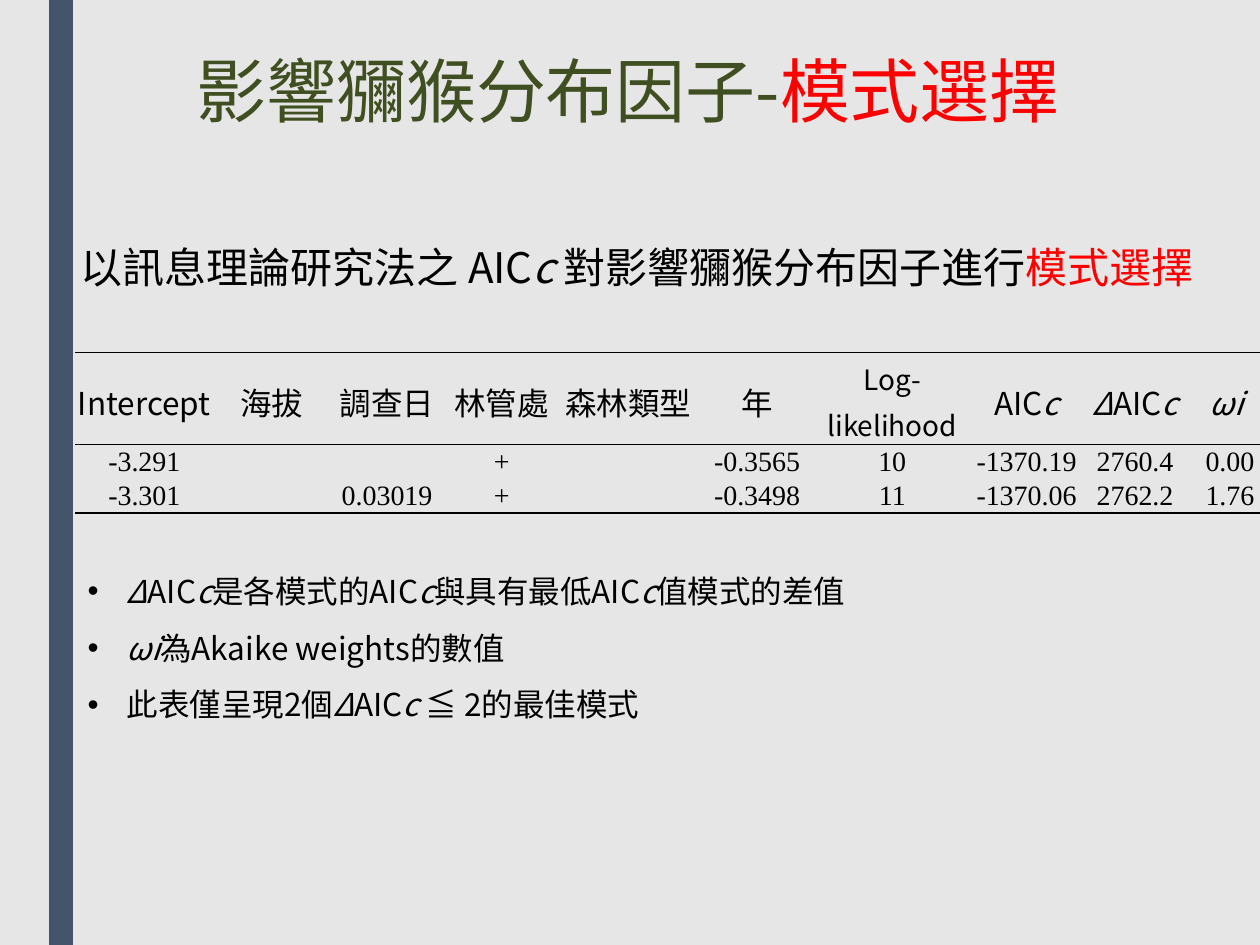
from typing import NamedTuple

from lxml.etree import SubElement
from pptx import Presentation
from pptx.dml.color import RGBColor
from pptx.enum.shapes import MSO_SHAPE as Shape
from pptx.enum.text import MSO_ANCHOR as Anchor, MSO_AUTO_SIZE as AutoSize, PP_ALIGN as Align
from pptx.oxml.ns import qn
from pptx.util import Pt

SANS = "Noto Sans CJK TC"
SERIF = "Times New Roman"
BLACK, NEAR_BLACK, RED, GREEN = "000000", "010101", "FF0000", "404F21"


class Run(NamedTuple):
    text: str
    italic: bool = False
    color: str = BLACK


class Column(NamedTuple):
    width: float
    header: list
    values: tuple
    size: float = 18


C = Run("c", True)
DELTA = Run("Δ", True, NEAR_BLACK)
AIC = Run("AIC")

COLUMNS = [
    Column(79, [[Run("Intercept")]], ("-3.291", "-3.301")),
    Column(66.5, [[Run("海拔")]], ("", "")),
    Column(65.5, [[Run("調查日")]], ("", "0.03019")),
    Column(65.5, [[Run("林管處")]], ("+", "+")),
    Column(79, [[Run("森林類型")]], ("", "")),
    Column(68.5, [[Run("年")]], ("-0.3565", "-0.3498")),
    Column(86, [[Run("Log-")], [Run("likelihood")]], ("10", "11"), 16),
    Column(67.5, [[AIC, C]], ("-1370.19", "-1370.06")),
    Column(56.5, [[DELTA, AIC, C]], ("2760.4", "2762.2")),
    Column(52, [[Run("ωi ", True)]], ("0.00", "1.76")),
]

NOTES = [
    [DELTA, AIC, C, Run("是各模式的AIC"), C, Run("與具有最低AIC"), C, Run("值模式的差值")],
    [Run("ωi", True), Run("為Akaike weights的數值")],
    [Run("此表僅呈現2個"), DELTA, AIC, Run("c ", True), Run("≦ 2的最佳模式")],
]


def rgb(value: str) -> RGBColor:
    return RGBColor.from_string(value)


def write(tf, paragraphs: list, size: float, font: str = SANS, align=Align.LEFT,
          spacing: float = 1.0, bullet: str = "") -> None:
    for i, runs in enumerate(paragraphs):
        p = tf.paragraphs[0] if i == 0 else tf.add_paragraph()
        p.alignment = align
        p.line_spacing = spacing
        if bullet:
            pPr = p._p.get_or_add_pPr()
            pPr.set("marL", str(Pt(22.5)))
            pPr.set("indent", str(-Pt(22.5)))
            buClr = SubElement(pPr, qn("a:buClr"))
            SubElement(buClr, qn("a:srgbClr")).set("val", runs[0].color)
            SubElement(pPr, qn("a:buFont")).set("typeface", "Arial")
            SubElement(pPr, qn("a:buChar")).set("char", bullet)
        for run in runs:
            r = p.add_run()
            r.text = run.text
            r.font.size = Pt(size)
            r.font.name = font
            r.font.bold = False
            r.font.italic = run.italic
            r.font.color.rgb = rgb(run.color)
            SubElement(r._r.get_or_add_rPr(), qn("a:ea")).set("typeface", font)
        if not runs:
            SubElement(p._p, qn("a:endParaRPr")).set("sz", str(int(size * 100)))


def add_text(s, left: float, top: float, width: float, height: float,
             paragraphs: list, size: float, **kwargs) -> None:
    tf = s.shapes.add_textbox(Pt(left), Pt(top), Pt(width), Pt(height)).text_frame
    tf.word_wrap = True
    write(tf, paragraphs, size, **kwargs)


def set_borders(cell, top: float, bottom: float) -> None:
    tcPr = cell._tc.get_or_add_tcPr()
    sides = (("L", 0), ("R", 0), ("T", top), ("B", bottom))
    for i, (side, width) in enumerate(sides):
        ln = SubElement(tcPr, qn(f"a:ln{side}"))
        ln.set("w", str(Pt(width)))
        if width:
            fill = SubElement(ln, qn("a:solidFill"))
            SubElement(fill, qn("a:srgbClr")).set("val", BLACK)
        else:
            SubElement(ln, qn("a:noFill"))
        tcPr.insert(i, ln)


def add_model_table(s, left: float, top: float) -> None:
    heights = (52.5, 19.5, 19.5)
    rules = (1, 1, 0, 1.5)
    width = sum(col.width for col in COLUMNS)
    table = s.shapes.add_table(len(heights), len(COLUMNS), Pt(left), Pt(top),
                               Pt(width), Pt(sum(heights))).table
    table.first_row = table.horz_banding = False
    for row, height in zip(table.rows, heights):
        row.height = Pt(height)
    for j, col in enumerate(COLUMNS):
        table.columns[j].width = Pt(col.width)
        for i in range(len(heights)):
            cell = table.cell(i, j)
            cell.vertical_anchor = Anchor.MIDDLE
            cell.margin_left = cell.margin_right = Pt(1.5)
            cell.margin_top = cell.margin_bottom = 0
            cell.fill.background()
            set_borders(cell, rules[i], rules[i + 1])
            if i == 0:
                write(cell.text_frame, col.header, col.size, align=Align.CENTER, spacing=1.14)
            else:
                value = col.values[i - 1]
                write(cell.text_frame, [[Run(value)] if value else []], 16,
                      font=SERIF, align=Align.CENTER)


def main() -> None:
    prs = Presentation()
    prs.slide_width, prs.slide_height = Pt(720), Pt(540)
    s = prs.slides.add_slide(prs.slide_layouts[5])
    s.background.fill.solid()
    s.background.fill.fore_color.rgb = rgb("E7E6E6")

    bar = s.shapes.add_shape(Shape.RECTANGLE, Pt(28), 0, Pt(13.7), Pt(540))
    bar.shadow.inherit = False
    bar.fill.solid()
    bar.fill.fore_color.rgb = rgb("44546A")
    bar.line.fill.background()

    title = s.shapes.title
    title.left, title.top, title.width, title.height = Pt(105), Pt(9.5), Pt(605.5), Pt(90)
    tf = title.text_frame
    tf.auto_size = AutoSize.NONE
    tf.vertical_anchor = Anchor.MIDDLE
    write(tf, [[Run("影響獼猴分布因子-", color=GREEN), Run("模式選擇", color=RED)]], 40, spacing=0.89)

    add_model_table(s, 43, 201.5)
    add_text(s, 43, 312.5, 653, 105, NOTES, 18, spacing=1.5, bullet="•")
    add_text(s, 39, 134.5, 690.5, 36,
             [[Run("以訊息理論研究法之 AIC"), Run("c ", True),
               Run("對影響獼猴分布因子進行"), Run("模式選擇", color=RED)]], 24)
    prs.save("out.pptx")


if __name__ == "__main__":
    main()
